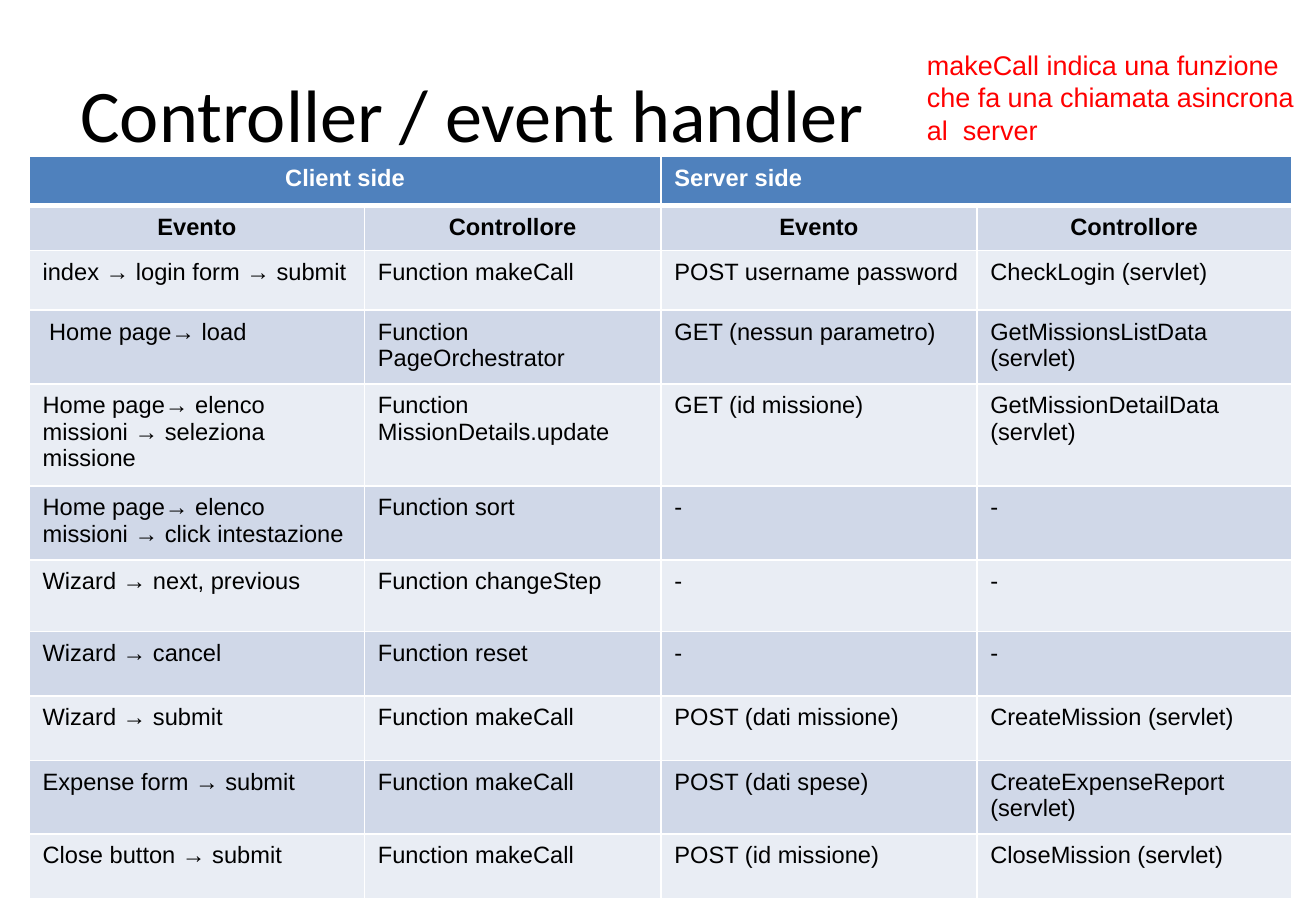
from lxml import etree
from pptx import Presentation
from pptx.dml.color import RGBColor
from pptx.enum.text import MSO_ANCHOR, PP_ALIGN
from pptx.oxml.ns import qn
from pptx.util import Inches, Pt

LEFT, CENTER = PP_ALIGN.LEFT, PP_ALIGN.CENTER
TOP, MIDDLE = MSO_ANCHOR.TOP, MSO_ANCHOR.MIDDLE
WIDTH, HEIGHT = Inches(10.83), Inches(7.5)
COLORS = {
    "text": "000000", "note": "FF0000", "white": "FFFFFF",
    "header": "4F81BD", "dark": "D0D8E8", "light": "E9EDF4",
}
COL_WEIGHTS = [276, 244, 260, 259]
ROW_WEIGHTS = [40, 37, 49, 59, 82, 61, 59, 53, 53, 59, 53]
HEADER_ROWS = 2
ROWS = [
    ["Client side", "", "Server side", ""],
    ["Evento", "Controllore", "Evento", "Controllore"],
    ["index → login form → submit", "Function makeCall",
     "POST username password", "CheckLogin (servlet)"],
    [" Home page→ load", "Function PageOrchestrator",
     "GET (nessun parametro)", "GetMissionsListData (servlet)"],
    ["Home page→ elenco missioni → seleziona missione",
     "Function MissionDetails.update",
     "GET (id missione)", "GetMissionDetailData (servlet)"],
    ["Home page→ elenco missioni → click intestazione", "Function sort", "-", "-"],
    ["Wizard → next, previous", "Function changeStep", "-", "-"],
    ["Wizard → cancel", "Function reset", "-", "-"],
    ["Wizard → submit", "Function makeCall",
     "POST (dati missione)", "CreateMission (servlet)"],
    ["Expense form → submit", "Function makeCall",
     "POST (dati spese)", "CreateExpenseReport (servlet)"],
    ["Close button → submit", "Function makeCall",
     "POST (id missione)", "CloseMission (servlet)"],
]


def percent_box(x, y, w, h):
    return [int(share * side / 100)
            for share, side in zip((x, y, w, h), (WIDTH, HEIGHT) * 2)]


def write(tf, text, size=14, font="Arial", color="text", bold=False, align=LEFT):
    p = tf.paragraphs[0]
    p.alignment = align
    r = p.add_run()
    r.text = text
    r.font.size = Pt(size)
    r.font.name = font
    r.font.bold = bold
    r.font.color.rgb = RGBColor.from_string(COLORS[color])


def add_text(s, box, text, anchor=TOP, inset=(0.1, 0.05), **style):
    tf = s.shapes.add_textbox(*box).text_frame
    tf.word_wrap = True
    tf.vertical_anchor = anchor
    tf.margin_left = tf.margin_right = Inches(inset[0])
    tf.margin_top = tf.margin_bottom = Inches(inset[1])
    write(tf, text, **style)


def set_borders(cell, **widths):
    tc_pr = cell._tc.get_or_add_tcPr()
    for side in "LRTB":
        ln = etree.SubElement(tc_pr, qn("a:ln" + side), w=str(Pt(widths.get(side, 1))))
        fill = etree.SubElement(ln, qn("a:solidFill"))
        etree.SubElement(fill, qn("a:srgbClr"), val=COLORS["white"])


def fill_cell(cell, text, row, col):
    cell.margin_left = cell.margin_right = Inches(0.11)
    cell.margin_top = cell.margin_bottom = Inches(0.07)
    set_borders(cell, **({"B": 3} if row == 0 else {"T": 3} if row == 1 else {}))
    band = "header" if row == 0 else "dark" if row % 2 else "light"
    cell.fill.solid()
    cell.fill.fore_color.rgb = RGBColor.from_string(COLORS[band])
    centered = row == 1 or (row == 0 and col == 0)
    write(cell.text_frame, text, bold=row < HEADER_ROWS,
          color="white" if row == 0 else "text",
          align=CENTER if centered else LEFT)


def add_event_table(s, box):
    x, y, w, h = box
    table = s.shapes.add_table(len(ROWS), len(COL_WEIGHTS), x, y, w, h).table
    for column, weight in zip(table.columns, COL_WEIGHTS):
        column.width = int(w * weight / sum(COL_WEIGHTS))
    for row, weight in zip(table.rows, ROW_WEIGHTS):
        row.height = int(h * weight / sum(ROW_WEIGHTS))
    for i, texts in enumerate(ROWS):
        for j, text in enumerate(texts):
            fill_cell(table.cell(i, j), text, i, j)
    for j in (0, 2):
        table.cell(0, j).merge(table.cell(0, j + 1))


def add_heading(s, box, text):
    add_text(s, box, text, anchor=MIDDLE, inset=(0.12, 0.06), size=44, font="Calibri")


def add_note(s, box, text):
    add_text(s, box, text, size=16, color="note")


prs = Presentation()
prs.slide_width, prs.slide_height = WIDTH, HEIGHT
s = prs.slides.add_slide(prs.slide_layouts[6])
add_heading(s, percent_box(5, 4, 90, 16.67), "Controller / event handler")
add_event_table(s, percent_box(2.22, 17.2, 95.93, 80.67))
add_note(s, percent_box(69.53, 4.67, 30.56, 12.13),
         "makeCall indica una funzione che fa una chiamata asincrona al  server")
prs.save("out.pptx")
